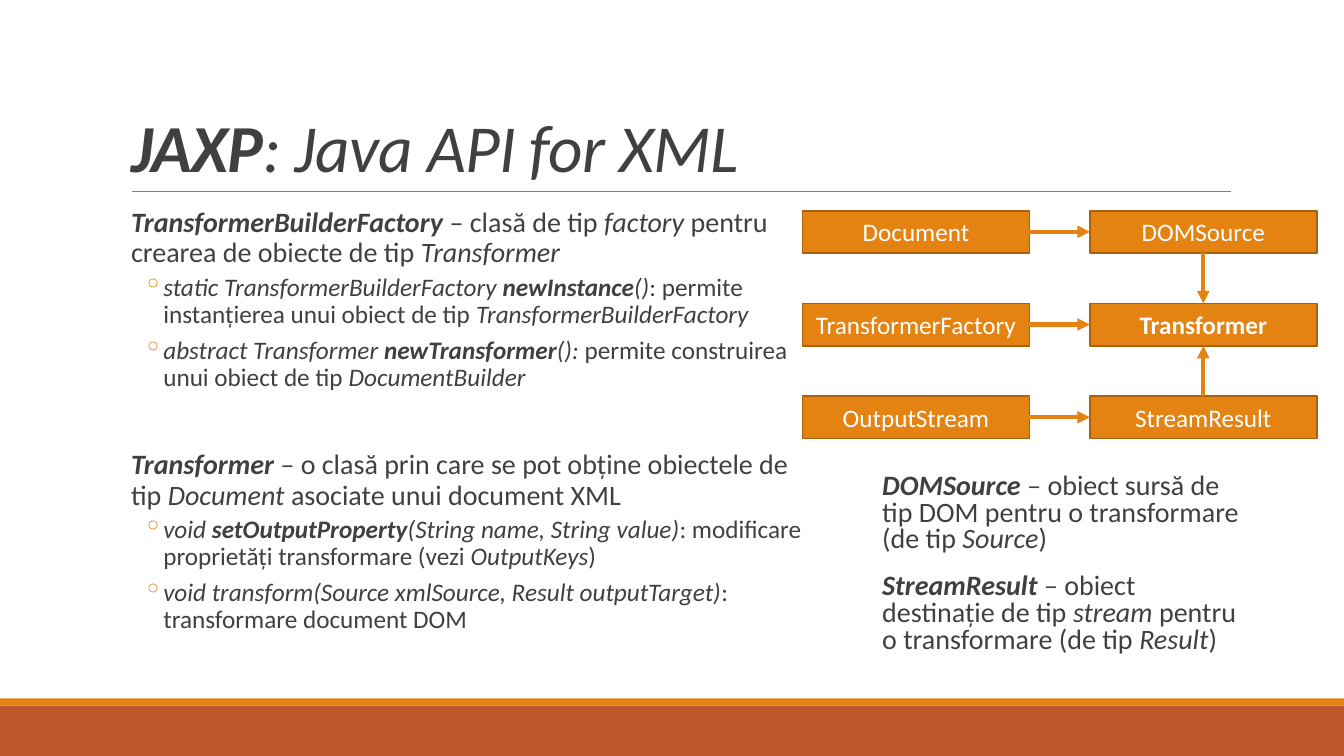
import lxml.etree
import pptx
import pptx.dml.color
import pptx.enum.shapes
import pptx.enum.text
import pptx.oxml.ns
import pptx.util

Inches = pptx.util.Inches
Pt = pptx.util.Pt
ALIGN = pptx.enum.text.PP_ALIGN
ANCHOR = pptx.enum.text.MSO_ANCHOR
ORANGE, RUST, BROWN = "E48312", "BD582C", "A9610D"
DARK, GREY, WHITE = "404040", "808080", "FFFFFF"
TOP, LEFT, BOTTOM, RIGHT = range(4)

# Paragraph kinds: text size, left margin and first-line indent in inches, spacing
HEADING = dict(size=20, margin=0.1, indent=0, before=12, after=2)
HEADING_APART = dict(HEADING, before=38)
METHOD = dict(size=18, margin=0.42, indent=-0.2, before=2, after=4, bullet="◦")

# Each run is (text, style); b = bold, i = italic
TITLE = [("JAXP", "bi"), (": Java API for XML", "i")]
CLASSES = [
    (HEADING, [("TransformerBuilderFactory", "bi"), (" – clasă de tip ", ""), ("factory", "i"),
               (" pentru crearea de obiecte de tip ", ""), ("Transformer", "i")]),
    (METHOD, [("static TransformerBuilderFactory ", "i"), ("newInstance", "bi"), ("()", "i"),
              (": permite instanțierea unui obiect de tip ", ""),
              ("TransformerBuilderFactory", "i")]),
    (METHOD, [("abstract Transformer ", "i"), ("newTransformer", "bi"), ("(): ", "i"),
              ("permite construirea unui obiect de tip ", ""), ("DocumentBuilder", "i")]),
    (HEADING_APART, [("Transformer ", "bi"), ("– ", "i"),
                     ("o clasă prin care se pot obține obiectele de tip ", ""),
                     ("Document", "i"), (" asociate unui document XML", "")]),
    (METHOD, [("void ", "i"), ("setOutputProperty", "bi"), ("(String name, String value)", "i"),
              (": modificare proprietăți transformare (vezi ", ""), ("OutputKeys", "i"),
              (")", "")]),
    (METHOD, [("void transform(Source xmlSource, Result outputTarget)", "i"),
              (": transformare document DOM", "")]),
]
ENDPOINTS = [
    (HEADING, [("DOMSource ", "bi"), ("– ", "i"),
               ("obiect sursă de tip DOM pentru o transformare (de tip ", ""),
               ("Source", "i"), (")", "")]),
    (HEADING, [("StreamResult ", "bi"), ("– ", "i"), ("obiect destinație de tip ", ""),
               ("stream", "i"), (" pentru o transformare (de tip ", ""),
               ("Result", "i"), (")", "")]),
]
FLOW = [("Document", "DOMSource"), ("TransformerFactory", "Transformer"),
        ("OutputStream", "StreamResult")]


def rgb(value):
    return pptx.dml.color.RGBColor.from_string(value)


def apply(target, values):
    for name, value in values.items():
        setattr(target, name, value)


def add_xml(parent, tag, **attributes):
    return lxml.etree.SubElement(parent, pptx.oxml.ns.qn(tag), attributes)


def add_runs(paragraph, runs, size, color):
    for text, style in runs:
        run = paragraph.add_run()
        run.text = text
        apply(run.font, dict(name="Calibri", size=Pt(size), bold="b" in style,
                             italic="i" in style))
        run.font.color.rgb = rgb(color)


def set_title(slide):
    title = slide.shapes.title
    apply(title, dict(left=Inches(1.2), top=Inches(0.31), width=Inches(11),
                      height=Inches(1.59)))
    apply(title.text_frame, dict(vertical_anchor=ANCHOR.BOTTOM, word_wrap=True,
                                 auto_size=pptx.enum.text.MSO_AUTO_SIZE.NONE))
    paragraph = title.text_frame.paragraphs[0]
    apply(paragraph, dict(alignment=ALIGN.LEFT, line_spacing=0.85))
    add_runs(paragraph, TITLE, 48, DARK)
    for run in paragraph.runs:
        run.font._element.set("spc", "-50")


def add_description(slide, left, top, width, height, paragraphs, line_spacing):
    box = slide.shapes.add_textbox(Inches(left), Inches(top), Inches(width), Inches(height))
    frame = box.text_frame
    apply(frame, dict(word_wrap=True, margin_left=0, margin_right=0))
    for index, (kind, runs) in enumerate(paragraphs):
        paragraph = frame.add_paragraph() if index else frame.paragraphs[0]
        apply(paragraph, dict(line_spacing=line_spacing, space_before=Pt(kind["before"]),
                              space_after=Pt(kind["after"])))
        properties = paragraph._p.get_or_add_pPr()
        properties.set("marL", str(Inches(kind["margin"])))
        properties.set("indent", str(Inches(kind["indent"])))
        if "bullet" in kind:
            add_xml(add_xml(properties, "a:buClr"), "a:srgbClr", val=ORANGE)
            add_xml(properties, "a:buChar", char=kind["bullet"])
        add_runs(paragraph, runs, kind["size"], DARK)


def add_rectangle(slide, left, top, width, height, fill):
    rectangle = slide.shapes.add_shape(pptx.enum.shapes.MSO_SHAPE.RECTANGLE, Inches(left),
                                       Inches(top), Inches(width), Inches(height))
    rectangle.shadow.inherit = False
    rectangle.fill.solid()
    rectangle.fill.fore_color.rgb = rgb(fill)
    rectangle.line.fill.background()
    return rectangle


def add_class_box(slide, left, top, label, style):
    box = add_rectangle(slide, left, top, 2.25, 0.42, ORANGE)
    box.line.color.rgb = rgb(BROWN)
    box.line.width = Pt(1.25)
    apply(box.text_frame, dict(vertical_anchor=ANCHOR.MIDDLE, word_wrap=True))
    paragraph = box.text_frame.paragraphs[0]
    paragraph.alignment = ALIGN.CENTER
    add_runs(paragraph, [(label, style)], 18, WHITE)
    return box


def add_line(slide, start, end, color, width):
    line = slide.shapes.add_connector(pptx.enum.shapes.MSO_CONNECTOR.STRAIGHT,
                                      *map(Inches, start + end))
    line.line.color.rgb = rgb(color)
    line.line.width = Pt(width)
    add_xml(line._element.spPr, "a:effectLst")
    return line


def add_arrow(slide, source, source_side, target, target_side):
    arrow = add_line(slide, (0, 0), (1, 1), ORANGE, 3)
    arrow.begin_connect(source, source_side)
    arrow.end_connect(target, target_side)
    outline = arrow._element.spPr.find(pptx.oxml.ns.qn("a:ln"))
    add_xml(outline, "a:tailEnd", type="triangle")


def add_flow(slide):
    results = []
    for row, (source, result) in enumerate(FLOW):
        top = 2.09 + row * 0.92
        source_box = add_class_box(slide, 7.96, top, source, "")
        result_box = add_class_box(slide, 10.81, top, result,
                                   "b" if result == "Transformer" else "")
        add_arrow(slide, source_box, RIGHT, result_box, LEFT)
        results.append(result_box)
    dom_source, transformer, stream_result = results
    add_arrow(slide, dom_source, BOTTOM, transformer, TOP)
    add_arrow(slide, stream_result, TOP, transformer, BOTTOM)


def main():
    deck = pptx.Presentation()
    deck.slide_width, deck.slide_height = Inches(13.33), Inches(7.5)
    slide = deck.slides.add_slide(deck.slide_layouts.get_by_name("Title Only"))
    add_rectangle(slide, 0, 7, 13.33, 0.5, RUST)
    add_rectangle(slide, 0, 6.93, 13.33, 0.07, ORANGE)
    add_line(slide, (1.31, 1.9), (12.21, 1.9), GREY, 0.5)
    set_title(slide)
    add_description(slide, 1.2, 2.02, 6.79, 4.4, CLASSES, 0.9)
    add_flow(slide)
    add_description(slide, 8.65, 4.65, 3.66, 2.1, ENDPOINTS, 0.8)
    deck.save("out.pptx")


if __name__ == "__main__":
    main()
